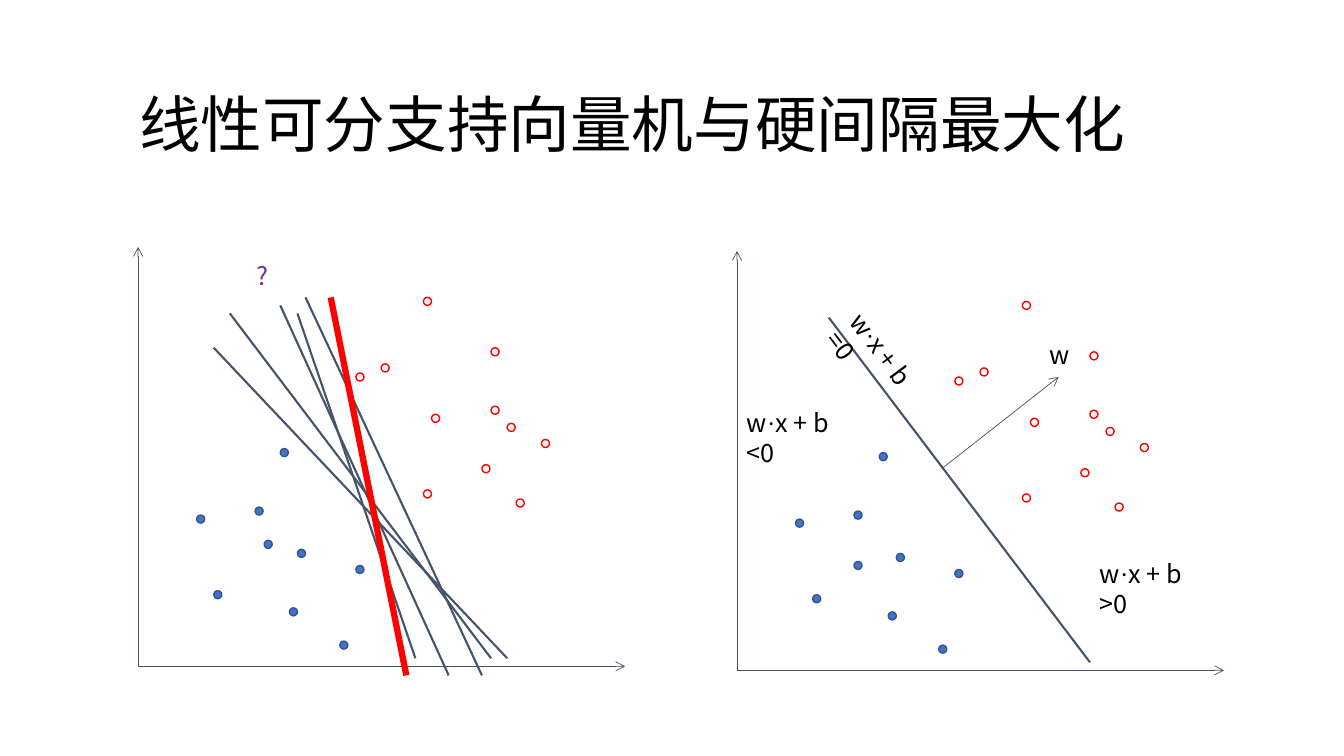
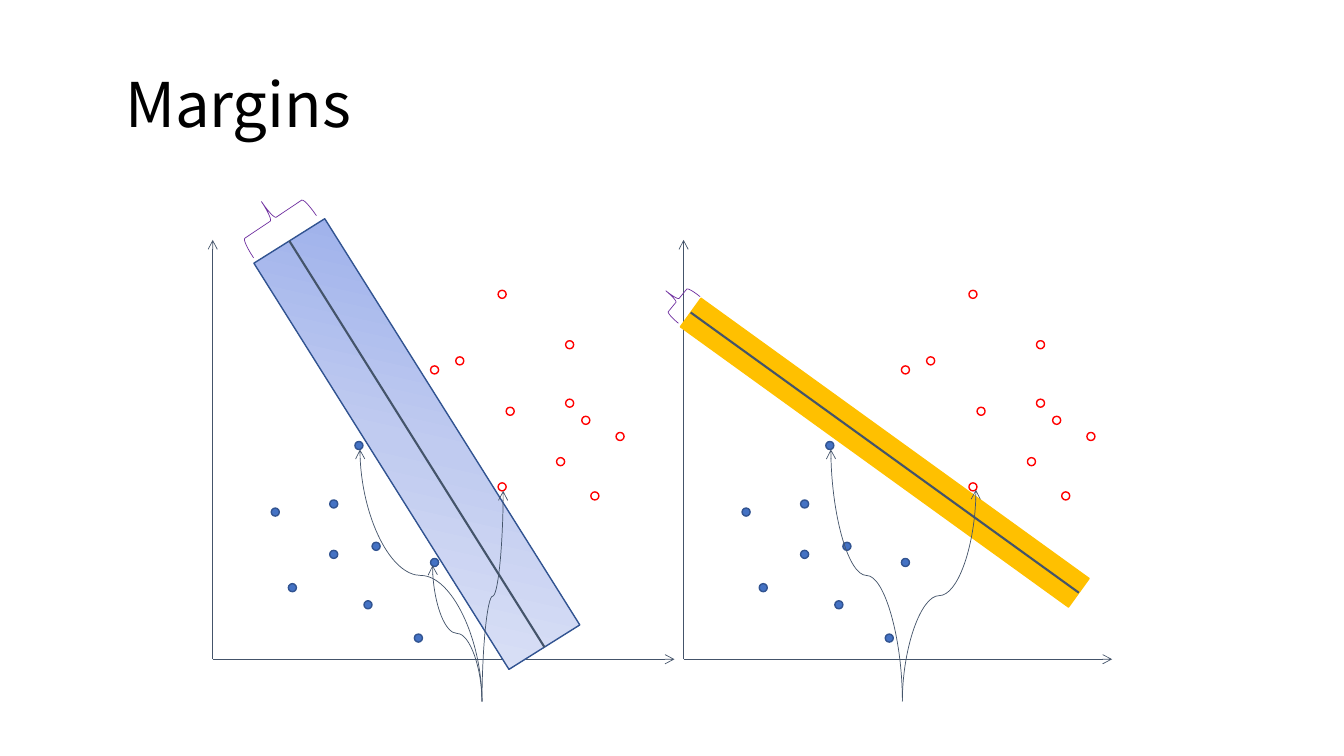
from math import atan2, degrees, hypot
from copy import deepcopy

from lxml.etree import SubElement
from pptx import Presentation
from pptx.dml.color import RGBColor
from pptx.enum.shapes import MSO_CONNECTOR as Connector, MSO_SHAPE as Preset
from pptx.enum.text import MSO_ANCHOR, MSO_AUTO_SIZE as AutoSize, PP_ALIGN
from pptx.oxml.ns import qn
from pptx.util import Inches, Pt

COLORS = {
    "text": "000000",
    "line": "44546A",
    "blue": "4472C4",
    "blue_edge": "325491",
    "red": "FF0000",
    "purple": "7030A0",
    "gold": "FFC000",
    "band_dark": "96ABEA",
    "band_mid": "C0CBF0",
    "band_light": "E0E5F7",
}
FONT = "Noto Sans CJK SC"
SYMBOL_FONT = "Times New Roman"
DOT_SIZE = 0.08
AXIS_HEIGHT = 4.16

BLUE_DOTS = [(0.58, 1.5), (1.16, 1.58), (2.16, 1), (1.58, 1.16), (1.5, 0.58),
             (1.41, 2.16), (2, 0.25), (0.75, 0.75)]
RED_DOTS = [(2.41, 3), (3.5, 2.58), (2.83, 3.66), (2.91, 2.5), (2.83, 1.75),
            (2.16, 2.91), (3.41, 2), (3.5, 3.16), (3.75, 1.66), (4, 2.25),
            (3.66, 2.41)]
CANDIDATE_LINES = [
    ((2.28, 3.11), (4.87, 6.53)),
    ((2.78, 3.03), (4.45, 6.7)),
    ((2.12, 3.45), (5.03, 6.53)),
    ((3.03, 2.95), (4.78, 6.7)),
    ((2.95, 3.11), (4.12, 6.53)),
]


def color(name):
    return RGBColor.from_string(COLORS[name])


def add_run(paragraph, text, size, color_name="text", font=FONT):
    run = paragraph.add_run()
    run.text = text
    run.font.size = Pt(size)
    run.font.color.rgb = color(color_name)
    run.font.name = font
    SubElement(run.font._element, qn("a:ea")).set("typeface", font)


def add_titled_slide(presentation, text, left, top):
    slide = presentation.slides.add_slide(presentation.slide_layouts[5])
    title = slide.shapes.title
    title.left, title.top = Inches(left), Inches(top)
    title.width, title.height = Inches(11.5), Inches(1.45)
    frame = title.text_frame
    frame.vertical_anchor = MSO_ANCHOR.MIDDLE
    frame.auto_size = AutoSize.NONE
    paragraph = frame.paragraphs[0]
    paragraph.alignment = PP_ALIGN.LEFT
    paragraph.line_spacing = 0.9
    add_run(paragraph, text, 44)
    return slide


def add_label(slide, runs, left, top, width, wrap=False, rotation=0, color_name="text"):
    box = slide.shapes.add_textbox(Inches(left), Inches(top), Inches(width), Inches(0.4))
    box.rotation = rotation
    frame = box.text_frame
    frame.word_wrap = wrap
    frame.auto_size = AutoSize.SHAPE_TO_FIT_TEXT
    for text, font in runs:
        add_run(frame.paragraphs[0], text, 18, color_name, font)


def add_equation(slide, relation, left, top, rotation=0):
    runs = [("w", FONT), ("·", SYMBOL_FONT), (f"x + b {relation}", FONT)]
    add_label(slide, runs, left, top, 1.25, wrap=True, rotation=rotation)


def add_line(slide, start, end, width=1.5, color_name="line", arrow=False,
             kind=Connector.STRAIGHT):
    connector = slide.shapes.add_connector(kind, *map(Inches, (*start, *end)))
    connector.line.color.rgb = color(color_name)
    connector.line.width = Pt(width)
    properties = connector._element.spPr
    if arrow:
        SubElement(properties.find(qn("a:ln")), qn("a:tailEnd")).set("type", "arrow")
    SubElement(properties, qn("a:effectLst"))
    return connector


def add_curve(slide, start, end):
    (start_x, start_y), (end_x, end_y) = start, end
    center_x, center_y = (start_x + end_x) / 2, (start_y + end_y) / 2
    side = 1 if end_x > start_x else -1
    half_width, half_height = side * abs(end_y - start_y) / 2, abs(end_x - start_x) / 2
    curve = add_line(slide, (center_x + half_width, center_y + half_height),
                     (center_x - half_width, center_y - half_height),
                     0.5, arrow=True, kind=Connector.CURVE)
    rotation = 90 if side > 0 else 270
    curve._element.spPr.find(qn("a:xfrm")).set("rot", str(rotation * 60000))


def add_preset(slide, preset, left, top, width, height, edge, edge_width=1,
               fill=None, rotation=0):
    shape = slide.shapes.add_shape(preset, *map(Inches, (left, top, width, height)))
    shape.shadow.inherit = False
    shape.rotation = rotation
    shape.line.color.rgb = color(edge)
    shape.line.width = Pt(edge_width)
    if fill:
        shape.fill.solid()
        shape.fill.fore_color.rgb = color(fill)
    else:
        shape.fill.background()
    return shape


def add_scatter(slide, origin, axis_width, moved_dot=(1.16, 1.08)):
    x, y = origin
    add_line(slide, origin, (x + axis_width, y), 0.5, arrow=True)
    add_line(slide, origin, (x, y - AXIS_HEIGHT), 0.5, arrow=True)
    groups = [(BLUE_DOTS + [moved_dot], "blue_edge", "blue"), (RED_DOTS, "red", None)]
    for dots, edge, fill in groups:
        for right, up in dots:
            add_preset(slide, Preset.OVAL, x + right, y - up, DOT_SIZE, DOT_SIZE,
                       edge, fill=fill)


def fill_gradient(shape, color_names):
    shape.fill.gradient()
    shape.fill.gradient_angle = 135
    stop_list = shape._element.spPr.find(qn("a:gradFill")).find(qn("a:gsLst"))
    while len(stop_list) < len(color_names):
        stop_list.append(deepcopy(stop_list[0]))
    for index, (stop, name) in enumerate(zip(shape.fill.gradient_stops, color_names)):
        stop.color.rgb = color(name)
        stop.position = index / (len(color_names) - 1)


def add_margin_band(slide, start, end, thickness, edge, fill=None):
    (start_x, start_y), (end_x, end_y) = start, end
    length = hypot(end_x - start_x, end_y - start_y)
    rotation = degrees(atan2(start_y - end_y, start_x - end_x)) % 360
    band = add_preset(slide, Preset.RECTANGLE, (start_x + end_x - length) / 2,
                      (start_y + end_y - thickness) / 2, length, thickness,
                      edge, fill=fill, rotation=rotation)
    middle = add_line(slide, start, end)
    middle.begin_connect(band, 3)
    middle.end_connect(band, 1)
    middle.begin_x, middle.begin_y = map(Inches, start)
    middle.end_x, middle.end_y = map(Inches, end)
    return band


def add_brace(slide, left, top, width, height, rotation):
    add_preset(slide, Preset.LEFT_BRACE, left, top, width, height, "purple", 0.5,
               rotation=rotation)


def build_hyperplane_slide(presentation):
    slide = add_titled_slide(presentation, "线性可分支持向量机与硬间隔最大化", 1.28, 0.54)
    add_scatter(slide, (1.37, 6.61), 4.83, moved_dot=(1.25, 1.25))
    for start, end in CANDIDATE_LINES:
        add_line(slide, start, end)
    add_line(slide, (3.28, 2.95), (4.03, 6.7), 4.5, "red")
    add_label(slide, [("?", FONT)], 2.45, 2.53, 0.32, color_name="purple")

    add_scatter(slide, (7.31, 6.65), 4.83)
    add_line(slide, (8.22, 3.15), (10.81, 6.57))
    add_equation(slide, ">0", 10.81, 5.49)
    add_equation(slide, "<0", 7.31, 3.99)
    add_equation(slide, "=0", 8.19, 3.36, rotation=53)
    add_line(slide, (9.34, 4.65), (10.5, 3.74), 0.5, arrow=True)
    add_label(slide, [("w", FONT)], 10.31, 3.32, 0.38)


def build_margins_slide(presentation):
    slide = add_titled_slide(presentation, "Margins", 1.14, 0.34)
    add_scatter(slide, (2.11, 6.54), 4.58)
    add_scatter(slide, (6.78, 6.54), 4.25)
    wide_band = add_margin_band(slide, (2.87, 2.39), (5.4, 6.42), 0.83, "blue_edge")
    fill_gradient(wide_band, ["band_dark", "band_mid", "band_light"])
    add_margin_band(slide, (6.85, 3.1), (10.7, 5.88), 0.35, "gold", "gold")
    add_brace(slide, 2.5, 1.8, 0.42, 0.75, 56.2)
    add_brace(slide, 6.57, 2.81, 0.3, 0.34, 39.3)
    support_vectors = {
        (4.78, 6.96): [(4.29, 5.61), (3.57, 4.46), (4.99, 4.87)],
        (8.95, 6.96): [(8.24, 4.46), (9.68, 4.86)],
    }
    for start, ends in support_vectors.items():
        for end in ends:
            add_curve(slide, start, end)


def main():
    presentation = Presentation()
    presentation.slide_width = Inches(13.33)
    presentation.slide_height = Inches(7.5)
    build_hyperplane_slide(presentation)
    build_margins_slide(presentation)
    presentation.save("out.pptx")


if __name__ == "__main__":
    main()
